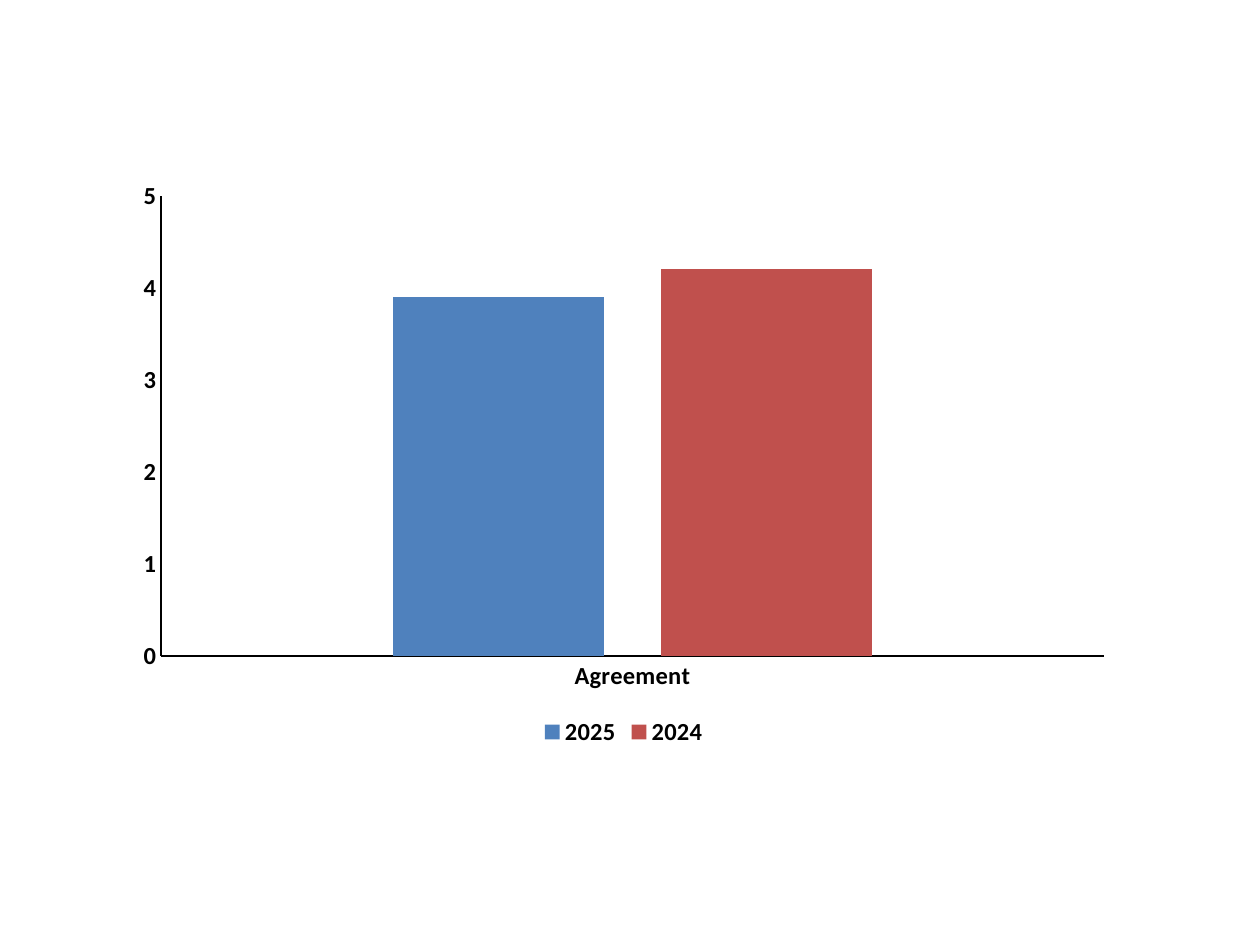
from pptx import Presentation
from pptx.chart.data import CategoryChartData
from pptx.dml.color import RGBColor
from pptx.enum.chart import XL_CHART_TYPE, XL_LEGEND_POSITION, XL_TICK_MARK
from pptx.util import Inches, Pt

CLUSTERED = XL_CHART_TYPE.COLUMN_CLUSTERED
BOTTOM = XL_LEGEND_POSITION.BOTTOM
NO_TICK = XL_TICK_MARK.NONE

FONT = "Calibri"
COLORS = {"text": "000000", "2025": "4F81BD", "2024": "C0504D"}
SCORES = {"2025": 3.9, "2024": 4.2}


def color(name):
    return RGBColor.from_string(COLORS[name])


def style_font(font, size, bold):
    font.name = FONT
    font.size = Pt(size)
    font.bold = bold
    font.color.rgb = color("text")


def style_axis(axis):
    axis.has_major_gridlines = False
    axis.major_tick_mark = NO_TICK
    axis.minor_tick_mark = NO_TICK
    axis.format.line.color.rgb = color("text")
    axis.format.line.width = Pt(0.75)
    style_font(axis.tick_labels.font, 14, True)


def add_agreement_chart(slide):
    data = CategoryChartData()
    data.categories = ["Agreement"]
    for year, score in SCORES.items():
        data.add_series(year, [score])
    frame = slide.shapes.add_chart(
        CLUSTERED, Inches(0.98), Inches(1.34), Inches(7.94), Inches(4.63), data
    )
    chart = frame.chart
    chart.has_title = False
    style_font(chart.font, 10, False)

    # Columns
    plot = chart.plots[0]
    plot.vary_by_categories = False
    plot.gap_width = 219
    plot.overlap = -27
    for series in plot.series:
        series.format.fill.solid()
        series.format.fill.fore_color.rgb = color(series.name)

    # Axes
    style_axis(chart.category_axis)
    style_axis(chart.value_axis)
    chart.value_axis.minimum_scale = 0
    chart.value_axis.maximum_scale = 5
    chart.value_axis.major_unit = 1
    chart.value_axis.tick_labels.number_format = "0"
    chart.value_axis.tick_labels.number_format_is_linked = False

    # Legend
    chart.has_legend = True
    chart.legend.position = BOTTOM
    chart.legend.include_in_layout = False
    style_font(chart.legend.font, 14, True)


def main():
    presentation = Presentation()
    presentation.slide_width = Inches(10)
    presentation.slide_height = Inches(7.5)
    slide = presentation.slides.add_slide(presentation.slide_layouts[6])
    add_agreement_chart(slide)
    presentation.save("out.pptx")


if __name__ == "__main__":
    main()
